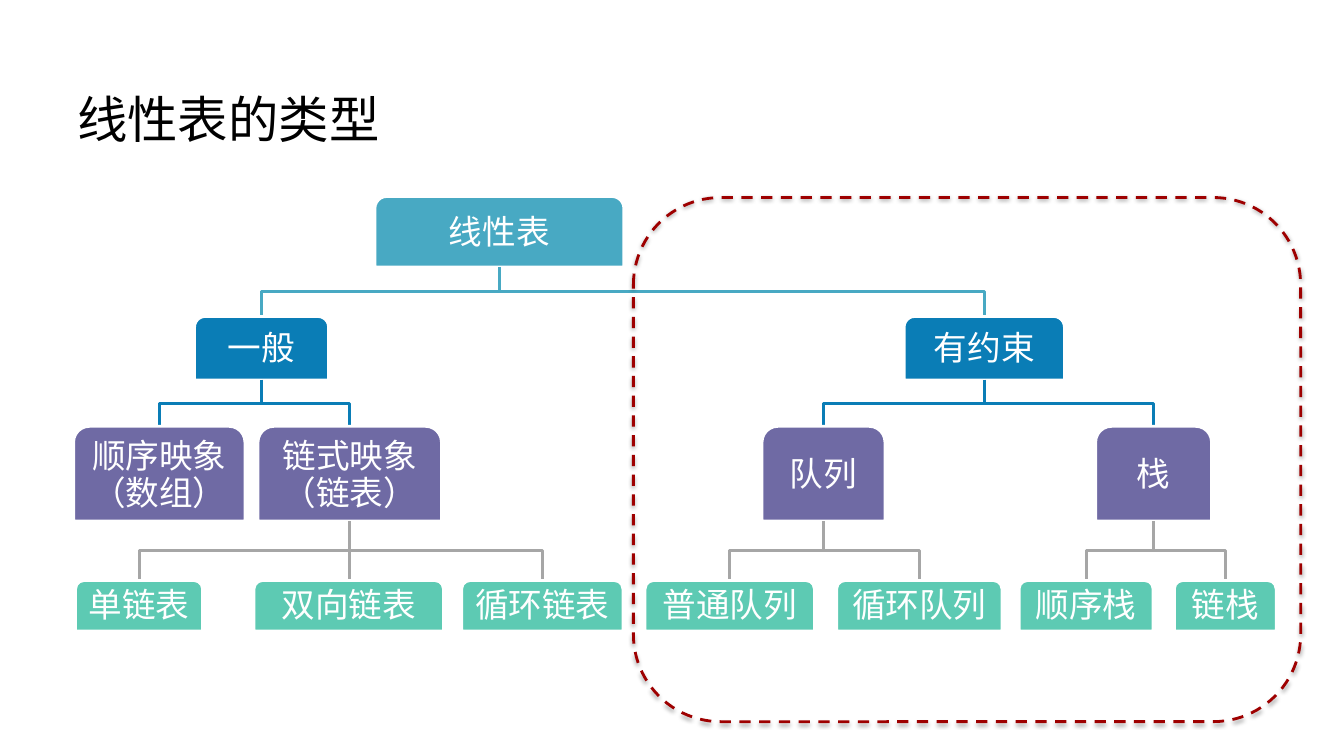
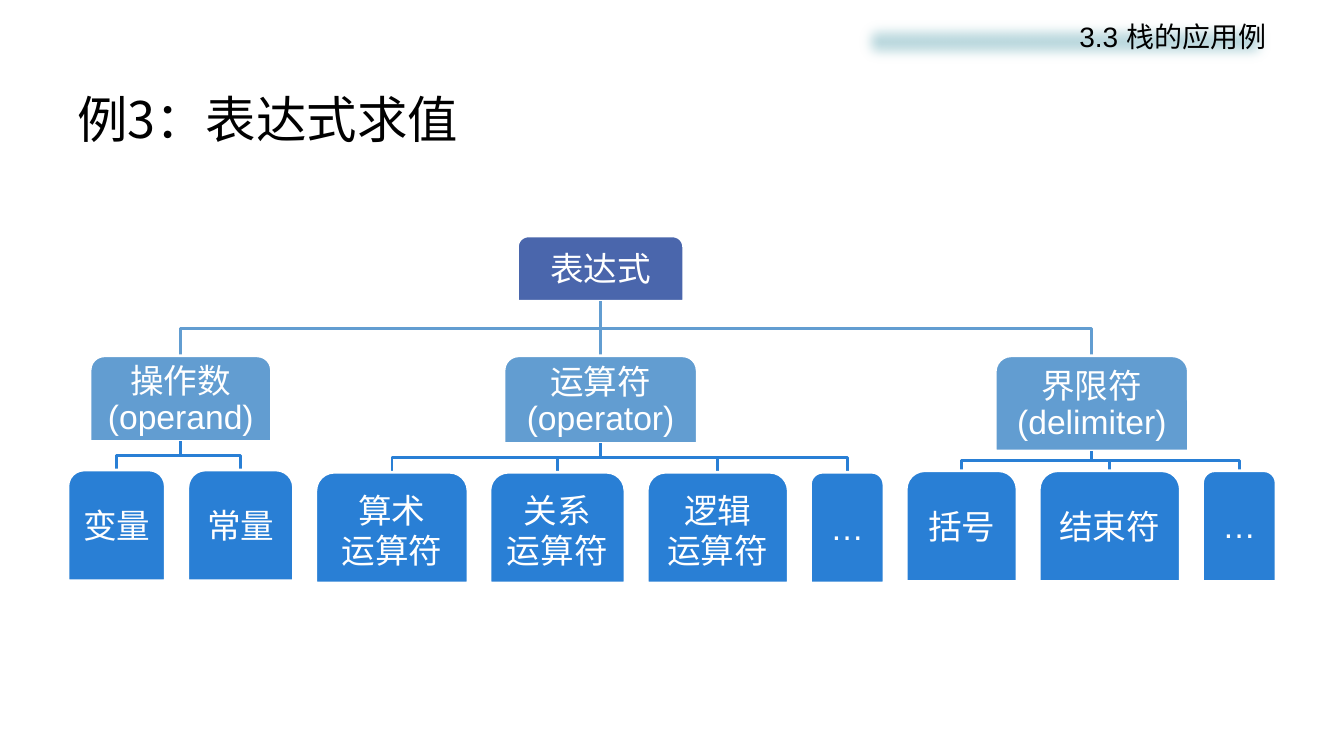
from lxml import etree
from pptx import Presentation
from pptx.dml.color import RGBColor
from pptx.enum.dml import MSO_LINE
from pptx.enum.shapes import MSO_CONNECTOR, MSO_SHAPE
from pptx.enum.text import MSO_ANCHOR, PP_ALIGN
from pptx.oxml import parse_xml
from pptx.oxml.ns import nsdecls, qn
from pptx.util import Inches, Pt

BOX = MSO_SHAPE.ROUND_2_SAME_RECTANGLE
RECT, ROUND_RECT = MSO_SHAPE.RECTANGLE, MSO_SHAPE.ROUNDED_RECTANGLE
STRAIGHT = MSO_CONNECTOR.STRAIGHT
DASH = MSO_LINE.DASH
TOP, MIDDLE = MSO_ANCHOR.TOP, MSO_ANCHOR.MIDDLE
LEFT, CENTER, RIGHT = PP_ALIGN.LEFT, PP_ALIGN.CENTER, PP_ALIGN.RIGHT

BLACK = RGBColor(0x00, 0x00, 0x00)
WHITE = RGBColor(0xFF, 0xFF, 0xFF)
TEAL = RGBColor(0x48, 0xA9, 0xC3)
BLUE = RGBColor(0x0A, 0x7D, 0xB6)
PURPLE = RGBColor(0x6F, 0x6A, 0xA4)
GREY = RGBColor(0xA6, 0xA6, 0xA6)
MINT = RGBColor(0x5D, 0xCA, 0xB3)
INDIGO = RGBColor(0x4A, 0x66, 0xAC)
SKY = RGBColor(0x62, 0x9D, 0xD1)
AZURE = RGBColor(0x29, 0x7F, 0xD5)
PALE = RGBColor(0xBD, 0xDA, 0xDF)
RED = RGBColor(0x9E, 0x00, 0x00)

ARIAL, NOTO = "Arial", "Noto Sans CJK SC"
LINE = Pt(2)

prs = Presentation()
prs.slide_width, prs.slide_height = Inches(13.33), Inches(7.5)
# Grid of 40 columns by 30 rows
COL, ROW = prs.slide_width / 40, prs.slide_height / 30


def grid(x, y, w, h):
    return round(x * COL), round(y * ROW), round(w * COL), round(h * ROW)


def set_text(sp, text, font, size, color, align, anchor, spacing=1.0):
    tf = sp.text_frame
    tf.text = text
    tf.word_wrap = True
    tf.vertical_anchor = anchor
    for p in tf.paragraphs:
        p.alignment = align
        p.line_spacing = spacing
        for r in p.runs:
            r.font.name, r.font.size = font, Pt(size)
            r.font.color.rgb = color
            ea = etree.SubElement(r.font._element, qn("a:ea"))
            ea.set("typeface", font)


# Each branch: parent, top row, rows high, fill, line to the parent,
# and its boxes as (text, left column, columns wide)
LIST_TREE = [
    (None, 7.8, 2.8, TEAL, None, [("线性表", 11.16, 7.41)]),
    ("线性表", 12.56, 2.52, BLUE, TEAL,
     [("一般", 5.79, 3.99), ("有约束", 26.91, 4.77)]),
    ("一般", 16.92, 3.76, PURPLE, BLUE,
     [("顺序映象（数组）", 2.19, 5.1), ("链式映象（链表）", 7.68, 5.46)]),
    ("有约束", 16.92, 3.76, PURPLE, BLUE,
     [("队列", 22.68, 3.66), ("栈", 32.61, 3.45)]),
    ("链式映象（链表）", 23.04, 2, MINT, GREY,
     [("单链表", 2.25, 3.78), ("双向链表", 7.56, 5.64),
      ("循环链表", 13.74, 4.8)]),
    ("队列", 23.04, 2, MINT, GREY,
     [("普通队列", 19.2, 5.04), ("循环队列", 24.9, 4.92)]),
    ("栈", 23.04, 2, MINT, GREY,
     [("顺序栈", 30.33, 3.99), ("链栈", 34.95, 3.03)]),
]
EXPRESSION_TREE = [
    (None, 9.36, 2.6, INDIGO, None, [("表达式", 15.4, 4.95)]),
    ("表达式", 14.12, 3.4, SKY, SKY, [("操作数(operand)", 2.68, 5.4)]),
    ("表达式", 14.12, 3.48, SKY, SKY, [("运算符(operator)", 15, 5.75)]),
    ("表达式", 14.12, 3.78, SKY, SKY, [("界限符(delimiter)", 29.62, 5.75)]),
    ("操作数(operand)", 18.65, 4.4, AZURE, AZURE,
     [("变量", 2.02, 2.9), ("常量", 5.59, 3.15)]),
    ("运算符(operator)", 18.74, 4.4, AZURE, AZURE,
     [("算术\n运算符", 9.4, 4.53), ("关系\n运算符", 14.58, 4.02),
      ("逻辑\n运算符", 19.26, 4.2), ("…", 24.12, 2.19)]),
    ("界限符(delimiter)", 18.68, 4.4, AZURE, AZURE,
     [("括号", 26.97, 3.3), ("结束符", 30.93, 4.2), ("…", 35.79, 2.19)]),
]
SLIDES = [
    ("线性表的类型", ARIAL, NOTO, LIST_TREE),
    ("例3：表达式求值", NOTO, ARIAL, EXPRESSION_TREE),
]

slides = []
for title, title_font, box_font, tree in SLIDES:
    s = prs.slides.add_slide(prs.slide_layouts[6])
    slides.append(s)
    tb = s.shapes.add_textbox(*grid(2, 3.2, 36, 3))
    set_text(tb, title, title_font, 36, BLACK, LEFT, MIDDLE)

    boxes = {}
    for parent, top, rows, fill, line, children in tree:
        for text, left, cols in children:
            x, y, w, h = grid(left, top, cols, rows)
            # Elbow from the parent's foot to the top of the box
            if parent:
                up = boxes[parent]
                start_x, start_y = up.left + up.width // 2, up.top + up.height
                end_x, mid_y = x + w // 2, (start_y + y) // 2
                if abs(end_x - start_x) < Inches(0.02):
                    link = s.shapes.add_connector(
                        STRAIGHT, start_x, start_y, start_x, y)
                    etree.SubElement(link._element.spPr, qn("a:effectLst"))
                else:
                    fb = s.shapes.build_freeform(start_x, start_y)
                    fb.add_line_segments(
                        [(start_x, mid_y), (end_x, mid_y), (end_x, y)],
                        close=False)
                    link = fb.convert_to_shape()
                    link.fill.background()
                    link.shadow.inherit = False
                link.line.color.rgb = line
                link.line.width = LINE
            # Box
            sp = s.shapes.add_shape(BOX, x, y, w, h)
            sp.shadow.inherit = False
            sp.fill.solid()
            sp.fill.fore_color.rgb = fill
            sp.line.color.rgb = WHITE
            sp.line.width = LINE
            spacing = 1.0 if "\n" in text else 0.9
            set_text(sp, text, box_font, 24, WHITE, CENTER, MIDDLE, spacing)
            tf = sp.text_frame
            tf.margin_left = tf.margin_right = Inches(0.08)
            tf.margin_top = tf.margin_bottom = Inches(0.1)
            boxes[text] = sp

# Dashed frame around the restricted lists
frame = slides[0].shapes.add_shape(ROUND_RECT, *grid(18.85, 7.84, 19.86, 20.8))
frame.fill.background()
frame.line.color.rgb = RED
frame.line.width = LINE
frame.line.dash_style = DASH
frame._element.spPr.append(parse_xml(
    f'<a:effectLst {nsdecls("a")}><a:outerShdw blurRad="{Pt(3.1)}" '
    f'dist="{Pt(1.6)}" dir="5400000" rotWithShape="0"><a:srgbClr val="000000">'
    '<a:alpha val="38000"/></a:srgbClr></a:outerShdw></a:effectLst>'))

# Section band with soft edges
band = slides[1].shapes.add_shape(RECT, *grid(25.39, 0.56, 12.6, 2.16))
band.fill.solid()
band.fill.fore_color.rgb = PALE
band.line.fill.background()
band._element.spPr.append(parse_xml(
    f'<a:effectLst {nsdecls("a")}><a:softEdge rad="{Pt(10)}"/></a:effectLst>'))
set_text(band, "3.3 栈的应用例", ARIAL, 20, BLACK, RIGHT, TOP)

prs.save("out.pptx")
